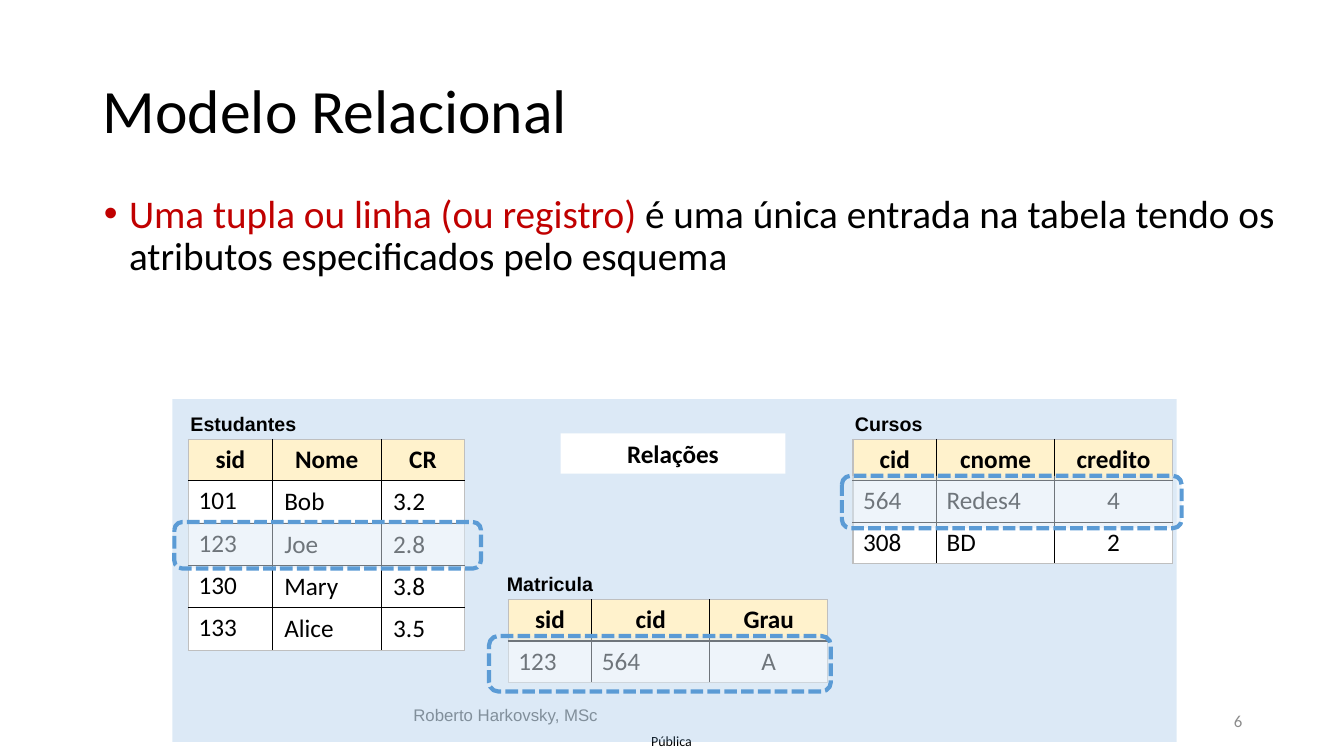
from lxml import etree
from pptx import Presentation
from pptx import util as u
from pptx.dml.color import RGBColor
from pptx.enum import dml, shapes, text
from pptx.oxml import ns

IN = u.Inches
AL = text.PP_ALIGN
MID = text.MSO_ANCHOR.MIDDLE


def paint(fill, color, alpha=100):
    fill.solid()
    fill.fore_color.rgb = RGBColor.from_string(color)
    if alpha < 100:
        node = fill._xPr.find(".//" + ns.qn("a:srgbClr"))
        etree.SubElement(node, ns.qn("a:alpha")).set("val", str(alpha * 1000))


def write(frame, words, size, face="Calibri", color="000000", bold=False, align=AL.CENTER):
    par = frame.paragraphs[0]
    par.text = words
    par.alignment = align
    par.font.size = u.Pt(size)
    par.font.name = face
    par.font.bold = bold
    paint(par.font.fill, color)
    return par


deck = Presentation()
deck.slide_width, deck.slide_height = IN(13.33), IN(7.5)
slide = deck.slides.add_slide(deck.slide_layouts[1])
title, body = slide.placeholders

title.left, title.top, title.width, title.height = IN(0.92), IN(0.4), IN(11.5), IN(1.45)
title.text_frame.auto_size = text.MSO_AUTO_SIZE.NONE
title.text_frame.vertical_anchor = MID
write(title.text_frame, "Modelo Relacional", 44, align=AL.LEFT).line_spacing = 0.9

body.left, body.top, body.width, body.height = IN(0.93), IN(1.88), IN(11.81), IN(1.14)
body.text_frame.auto_size = text.MSO_AUTO_SIZE.NONE
par = body.text_frame.paragraphs[0]
prop = par._p.get_or_add_pPr()
prop.set("marL", str(IN(0.25)))
prop.set("indent", str(-IN(0.25)))
etree.SubElement(prop, ns.qn("a:buFont")).set("typeface", "Arial")
etree.SubElement(prop, ns.qn("a:buChar")).set("char", "•")
par.line_spacing = 0.9
par.space_before = u.Pt(0)
par.font.size = u.Pt(28)
par.font.name = "Calibri"
for words, color in [
    ("Uma tupla ou linha (ou registro) ", "C00000"),
    ("é uma única entrada na tabela tendo os atributos especificados pelo esquema", "000000"),
]:
    run = par.add_run()
    run.text = words
    paint(run.font.fill, color)

notes = [
    ("Pública", 6.31, 7.21, 0.7, 0.29, 10, "Calibri", "000000", AL.CENTER, MID, 0),
    ("Roberto Harkovsky, MSc", 2.42, 6.94, 5.19, 0.4, 12, "Arial", "8C8C8C",
     AL.CENTER, text.MSO_ANCHOR.TOP, 0.1),
    ("6", 9.42, 6.95, 3, 0.4, 12, "Calibri", "8C8C8C", AL.RIGHT, MID, 0.1),
]
for words, x, y, w, h, size, face, color, align, anchor, pad in notes:
    frame = slide.shapes.add_textbox(IN(x), IN(y), IN(w), IN(h)).text_frame
    frame.word_wrap = True
    frame.vertical_anchor = anchor
    frame.margin_left = frame.margin_right = IN(pad)
    frame.margin_top = frame.margin_bottom = IN(pad / 2)
    write(frame, words, size, face, color, align=align)

panel = slide.shapes.add_shape(shapes.MSO_SHAPE.RECTANGLE, IN(1.71), IN(3.96), IN(9.96), IN(3.4))
panel.shadow.inherit = False
panel.line.fill.background()
paint(panel.fill, "5B9BD5", 21)

tables = [
    ("Estudantes", 1.5, 4.04, 1.87, 4.36, [0.83, 1.08, 0.83], 0.42, [
        ["sid", "Nome", "CR"],
        ["101", "Bob", "3.2"],
        ["123", "Joe", "2.8"],
        ["130", "Mary", "3.8"],
        ["133", "Alice", "3.5"],
    ]),
    ("Cursos", 7.9, 4.04, 8.46, 4.36, [0.83, 1.17, 1.17], 0.41, [
        ["cid", "cnome", "credito"],
        ["564", "Redes4", "4"],
        ["308", "BD", "2"],
    ]),
    ("Matricula", 4.54, 5.62, 5.04, 5.95, [0.83, 1.17, 1.17], 0.41, [
        ["sid", "cid", "Grau"],
        ["123", "564", "A"],
    ]),
]
for name, tx, ty, x, y, cols, step, rows in tables:
    last = len(rows) - 1
    high = 0.41 + step * last
    grid = slide.shapes.add_table(len(rows), 3, IN(x), IN(y), IN(sum(cols)), IN(high)).table
    grid.first_row = grid.horz_banding = False
    for c, wide in enumerate(cols):
        grid.columns[c].width = IN(wide)
    for r, row in enumerate(rows):
        grid.rows[r].height = IN(step if r else 0.41)
        for c, words in enumerate(row):
            cell = grid.cell(r, c)
            edges = {"L": c == 0, "R": c == 2, "T": r == 0, "B": r == last}
            for side, outer in edges.items():
                line = etree.SubElement(cell._tc.get_or_add_tcPr(), ns.qn("a:ln" + side))
                line.set("w", str(u.Pt(1)))
                ink = etree.SubElement(line, ns.qn("a:solidFill"))
                tone = "BFBFBF" if outer else "000000"
                etree.SubElement(ink, ns.qn("a:srgbClr")).set("val", tone)
            paint(cell.fill, "FFFFFF" if r else "FFF2CC")
            if name == "Estudantes" and r and c:
                cell.vertical_anchor = MID
                cell.margin_left = cell.margin_right = IN(0.12)
                cell.margin_top = cell.margin_bottom = IN(0.06)
            mid = r == 0 or (c == 2 and name != "Estudantes")
            write(cell.text_frame, words, 18, bold=r == 0, align=AL.CENTER if mid else AL.LEFT)
    label = slide.shapes.add_textbox(IN(tx), IN(ty), IN(1.83), IN(0.34)).text_frame
    label.word_wrap = True
    write(label, name, 14, "Arial", bold=True)

tag = slide.shapes.add_shape(shapes.MSO_SHAPE.RECTANGLE, IN(5.56), IN(4.3), IN(2.23), IN(0.4))
tag.shadow.inherit = False
tag.line.fill.background()
paint(tag.fill, "FFFFFF")
write(tag.text_frame, "Relações", 18, bold=True)

marks = [(1.73, 5.18, 3.04, 0.46), (8.35, 4.72, 3.37, 0.52), (4.85, 6.31, 3.39, 0.55)]
for spot in marks:
    mark = slide.shapes.add_shape(shapes.MSO_SHAPE.ROUNDED_RECTANGLE, *map(IN, spot))
    mark.shadow.inherit = False
    paint(mark.fill, "DEEBF7", 50)
    paint(mark.line.fill, "5B9BD5")
    mark.line.width = u.Pt(3)
    mark.line.dash_style = dml.MSO_LINE.SQUARE_DOT

deck.save("out.pptx")
